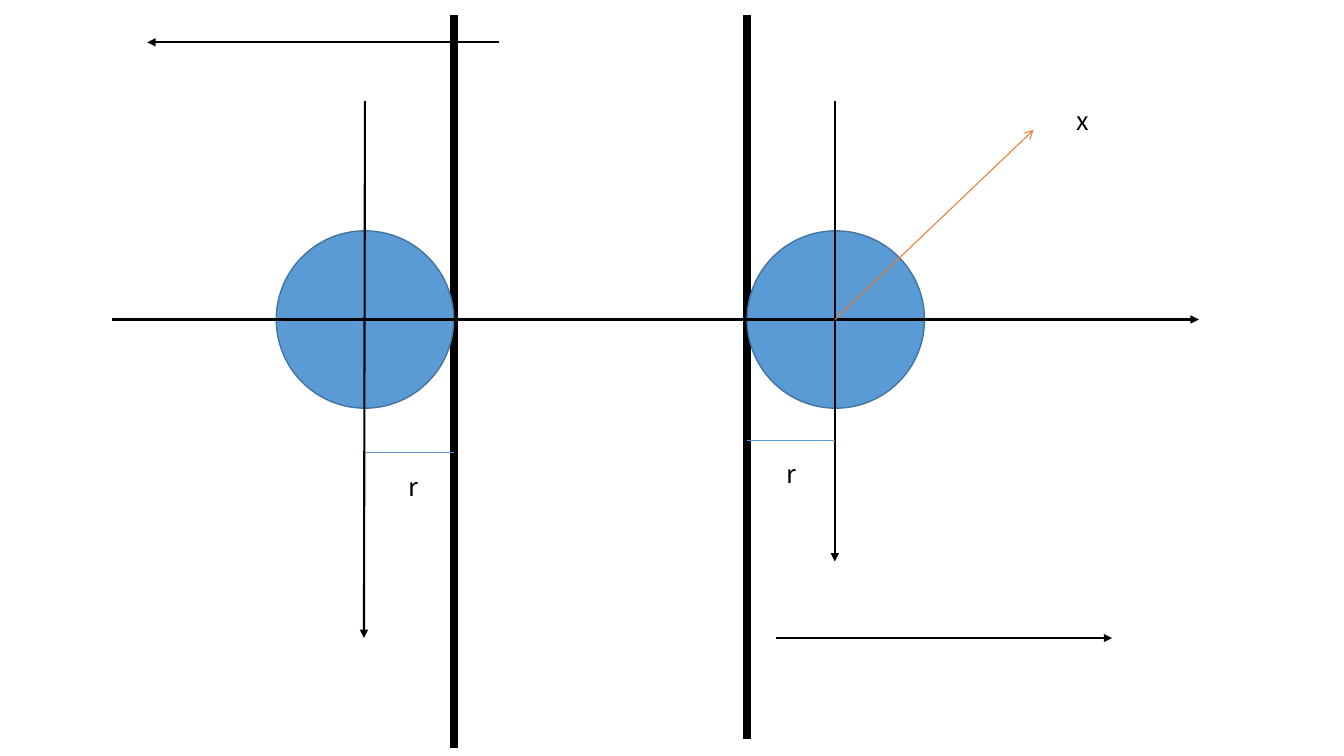
from dataclasses import dataclass

from lxml.etree import SubElement
from pptx import Presentation
from pptx.dml.color import RGBColor
from pptx.enum.shapes import MSO_CONNECTOR, MSO_SHAPE
from pptx.enum.text import MSO_AUTO_SIZE
from pptx.oxml.ns import qn
from pptx.util import Inches, Pt


@dataclass(frozen=True)
class Theme:
    ink: RGBColor = RGBColor.from_string("000000")
    blue: RGBColor = RGBColor.from_string("5B9BD5")
    outline: RGBColor = RGBColor.from_string("43739E")
    orange: RGBColor = RGBColor.from_string("ED7D31")
    font: str = "Noto Sans CJK SC"
    label_size: int = 18


class Diagram:
    def __init__(self, slide, theme):
        self.shapes = slide.shapes
        self.theme = theme

    def line(self, start, end, color, width, arrowhead=None):
        connector = self.shapes.add_connector(
            MSO_CONNECTOR.STRAIGHT, *map(Inches, start + end))
        connector.line.color.rgb = color
        connector.line.width = Pt(width)
        if arrowhead:
            outline = connector.line._get_or_add_ln()
            SubElement(outline, qn("a:tailEnd"), type=arrowhead)
        SubElement(connector._element.spPr, qn("a:effectLst"))

    def wall(self, x, bottom):
        self.line((x, 0.15), (x, bottom), self.theme.ink, 6)

    def axis(self, start, end):
        self.line(start, end, self.theme.ink, 1.5, "triangle")

    def radius_mark(self, left, right, y):
        self.line((left, y), (right, y), self.theme.blue, 0.5)

    def circle(self, left, top, diameter):
        disc = self.shapes.add_shape(
            MSO_SHAPE.OVAL, *map(Inches, (left, top, diameter, diameter)))
        disc.shadow.inherit = False
        disc.fill.solid()
        disc.fill.fore_color.rgb = self.theme.blue
        disc.line.color.rgb = self.theme.outline
        disc.line.width = Pt(1)

    def label(self, text, left, top, width):
        box = self.shapes.add_textbox(*map(Inches, (left, top, width, 0.4)))
        frame = box.text_frame
        frame_format = {"word_wrap": False,
                        "auto_size": MSO_AUTO_SIZE.SHAPE_TO_FIT_TEXT}
        for name, value in frame_format.items():
            setattr(frame, name, value)
        run = frame.paragraphs[0].add_run()
        run.text = text
        run_format = {"name": self.theme.font,
                      "size": Pt(self.theme.label_size)}
        for name, value in run_format.items():
            setattr(run.font, name, value)
        run.font.color.rgb = self.theme.ink


def main():
    deck = Presentation()
    deck.slide_width, deck.slide_height = Inches(13.33), Inches(7.5)
    theme = Theme()
    diagram = Diagram(deck.slides.add_slide(deck.slide_layouts[6]), theme)

    diameter = 1.76
    left_wall, right_wall = 4.5, 7.41
    left_center, right_center = 3.62, 8.28
    axis_y = 3.17

    # Walls, each with a circle touching its outer side
    for wall, bottom, circle_left in (
            (right_wall, 7.33, right_wall),
            (left_wall, 7.42, left_wall - diameter)):
        diagram.wall(wall, bottom)
        diagram.circle(circle_left, axis_y - diameter / 2, diameter)

    # Right circle: vertical axis and radius
    diagram.axis((right_center, 1), (right_center, 5.57))
    diagram.radius_mark(right_wall, right_center, 4.37)
    diagram.label("r", 7.7, 4.5, 0.29)

    # Shared horizontal axis and direction x
    diagram.axis((1.11, axis_y), (11.89, axis_y))
    diagram.line((right_center, axis_y), (10.25, 1.29),
                 theme.orange, 0.75, "arrow")
    diagram.label("x", 10.58, 1, 0.31)

    # Left vertical axis, then the outward arrows
    diagram.axis((left_center, 1), (3.61, 6.33))
    diagram.axis((7.7, 6.33), (11.03, 6.33))
    diagram.axis((4.95, 0.42), (1.46, 0.42))

    # Left circle: radius
    diagram.radius_mark(left_center, left_wall, 4.49)
    diagram.label("r", 3.95, 4.63, 0.27)

    deck.save("out.pptx")


if __name__ == "__main__":
    main()
